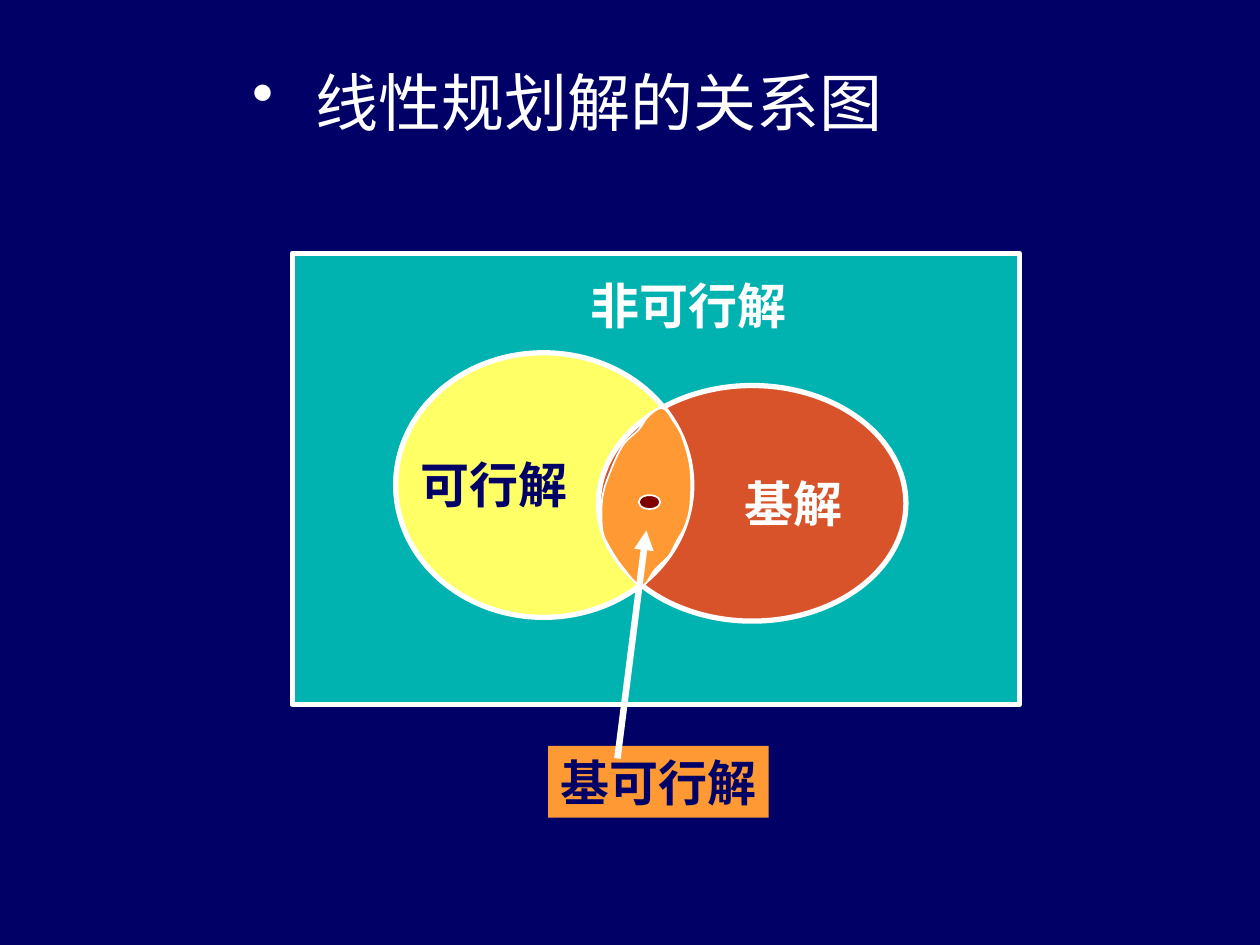
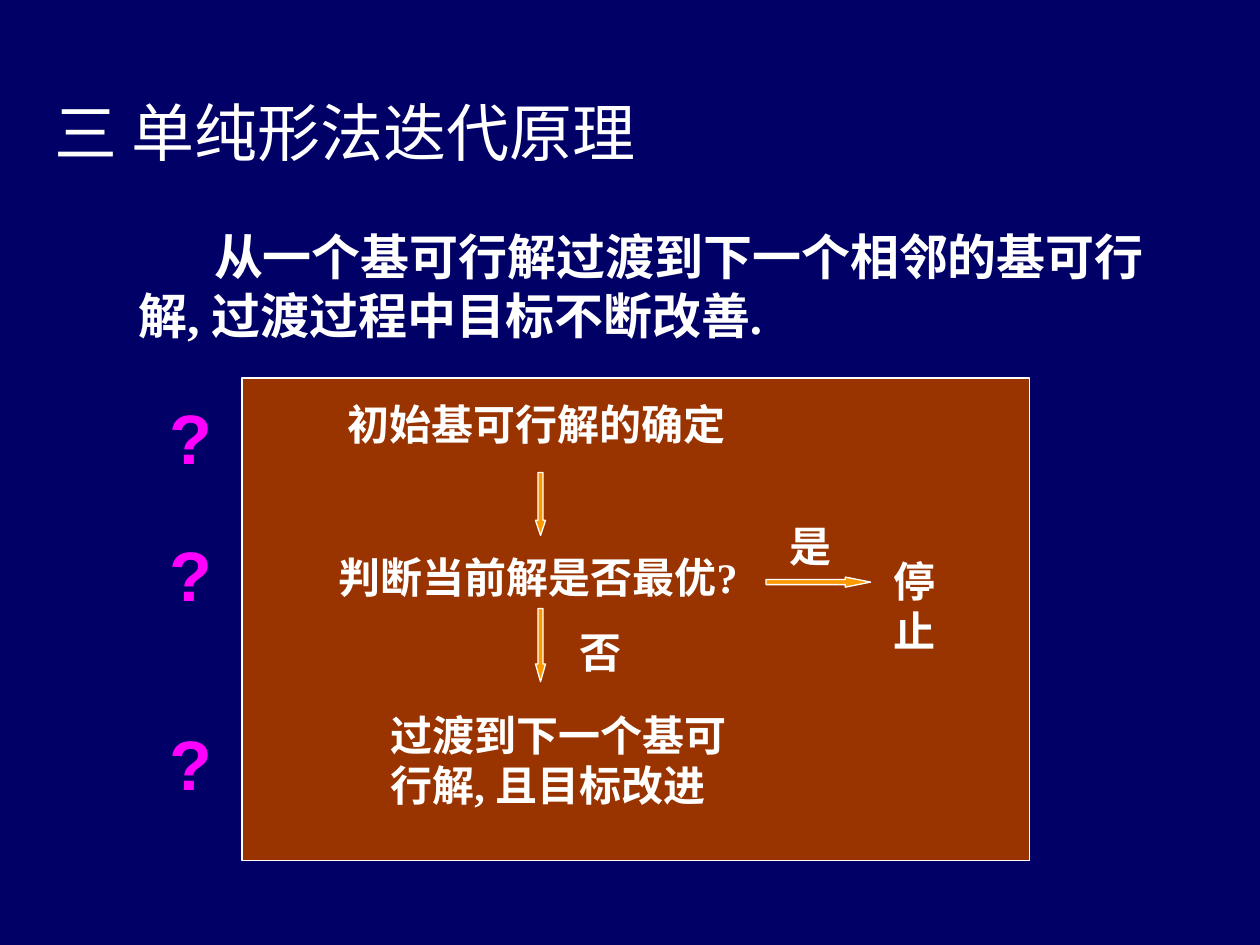
"""Build two slides on linear programming solutions and the simplex iteration."""
from lxml import etree
from pptx import Presentation
from pptx.dml.color import RGBColor
from pptx.enum import shapes as kinds, text as styles
from pptx.oxml.ns import qn
from pptx.util import Inches, Pt

NAVY = RGBColor(0x00, 0x00, 0x66)
WHITE = RGBColor(0xFF, 0xFF, 0xFF)
TEAL = RGBColor(0x00, 0xB2, 0xB0)
YELLOW = RGBColor(0xFF, 0xFF, 0x66)
ORANGE = RGBColor(0xFF, 0x99, 0x33)
AMBER = RGBColor(0xFF, 0x99, 0x00)
BRICK = RGBColor(0xD8, 0x53, 0x2A)
BROWN = RGBColor(0x99, 0x33, 0x00)
MAROON = RGBColor(0x80, 0x00, 0x00)
MAGENTA = RGBColor(0xFF, 0x00, 0xFF)

SERIF, SANS, CJK = "Times New Roman", "Arial", "Noto Sans CJK SC"
TITLE = dict(name=SERIF, size=Pt(36), bold=False)
REGION = dict(name=SANS, size=Pt(28), bold=True)
FEASIBLE = dict(name=CJK, size=Pt(28), bold=True)
LEAD = dict(name=SERIF, size=Pt(28), bold=True)
STEP = dict(name=SERIF, size=Pt(24), bold=True)
QUERY = dict(name=SANS, size=Pt(40), bold=True)

KIND = kinds.MSO_SHAPE
ANCHOR = styles.MSO_ANCHOR
ALIGN = styles.PP_ALIGN

RELATION_TITLE = ("线性规划解的关系图", (1.9, 0.45, 6.25, 0.77))
UNIVERSE = ("非可行解", (2.31, 2.02, 5.77, 3.58))
FEASIBLE_SET = ("可行解", (3.13, 2.79, 2.35, 2.1))
BASIC_SET = ("基解", (4.75, 3.06, 2.44, 1.87))
OVERLAP = ("基可行解", (4.35, 5.92, 1.75, 0.57))
UNIVERSE_EDGE = (2.32, 2.01, 5.77, 3.58)
FEASIBLE_EDGE = (3.14, 2.8, 2.35, 2.1)
OPTIMUM = (5.07, 3.93, 0.17, 0.11)
POINTER = ((4.9, 6.02), (5.13, 4.21))
LENS = [(5.09, 4.65), (4.94, 4.5), (4.83, 4.33), (4.78, 4.2), (4.78, 3.96),
        (4.83, 3.78), (4.94, 3.54), (5.07, 3.41), (5.15, 3.3), (5.26, 3.24),
        (5.35, 3.35), (5.42, 3.48), (5.48, 3.72), (5.48, 4), (5.44, 4.17),
        (5.37, 4.3), (5.31, 4.41), (5.2, 4.52)]

METHOD_TITLE = ("三 单纯形法迭代原理", (0.33, 0.42, 5.17, 1.25))
PRINCIPLE = ("从一个基可行解过渡到下一个相邻的基可行解, 过渡过程中目标不断改善.",
             (1, 1.75, 8.42, 1.04))
FLOW_PANEL = (1.92, 3, 6.25, 3.83)
FLOW_LABELS = [
    ("初始基可行解的确定", (2.66, 3.11, 3.2, 0.5)),
    ("判断当前解是否最优?", (2.59, 4.33, 3.44, 0.5)),
    ("是", (6.17, 4.08, 0.53, 0.5)),
    ("停止", (6.99, 4.36, 0.86, 0.5)),
    ("否", (4.5, 4.92, 0.53, 0.5)),
]
NEXT_STEP = ("过渡到下一个基可行解, 且目标改进", (3, 5.58, 3.17, 0.9))
FLOW_ARROWS = [
    (KIND.DOWN_ARROW, (4.25, 3.75, 0.08, 0.5), 1.5),
    (KIND.RIGHT_ARROW, (6.08, 4.58, 0.83, 0.08), 2.51),
    (KIND.DOWN_ARROW, (4.25, 4.83, 0.08, 0.58), 1.75),
]
QUERY_TOPS = [3.08, 4.17, 5.67]


def lengths(values):
    return [Inches(value) for value in values]


def write(holder, wording, look, color=WHITE, wrap=False, align=ALIGN.LEFT,
          anchor=ANCHOR.TOP, fit=styles.MSO_AUTO_SIZE.NONE):
    frame = holder.text_frame
    settings = dict(word_wrap=wrap, vertical_anchor=anchor, auto_size=fit)
    for key, value in settings.items():
        setattr(frame, key, value)
    line = frame.paragraphs[0]
    line.alignment = align
    run = line.add_run()
    run.text = wording
    for key, value in look.items():
        setattr(run.font, key, value)
    run.font.color.rgb = color
    etree.SubElement(run.font._element, qn("a:ea"), typeface=CJK)
    return line


def label(parent, wording, at, look, color=WHITE, wrap=False):
    return write(parent.add_textbox(*lengths(at)), wording, look, color, wrap,
                 fit=styles.MSO_AUTO_SIZE.SHAPE_TO_FIT_TEXT)


def paint(figure, fill, width):
    figure.shadow.inherit = False
    if fill is None:
        figure.fill.background()
    else:
        figure.fill.solid()
        figure.fill.fore_color.rgb = fill
    if width:
        figure.line.color.rgb = WHITE
        figure.line.width = Pt(width)
    else:
        figure.line.fill.background()
    return figure


def draw(parent, kind, at, fill=None, width=1):
    return paint(parent.add_shape(kind, *lengths(at)), fill, width)


def add_slide(deck, heading, anchor):
    slide = deck.slides.add_slide(deck.slide_layouts[5])
    wording, at = heading
    title = slide.shapes.title
    title.left, title.top, title.width, title.height = lengths(at)
    return slide.shapes, write(title, wording, TITLE, wrap=True, anchor=anchor)


def smooth_loop(knots, steps=6):
    """Return points on a closed Catmull-Rom curve through the knots."""
    points = []
    for i in range(len(knots)):
        quad = [knots[(i + k) % len(knots)] for k in (-1, 0, 1, 2)]
        for t in (step / steps for step in range(steps)):
            points.append(tuple(
                b + t / 2 * (c - a + t * (2 * a - 5 * b + 4 * c - d
                                          + t * (3 * b - a - 3 * c + d)))
                for a, b, c, d in zip(*quad)))
    return points


def add_relation(deck):
    parts, heading = add_slide(deck, RELATION_TITLE, ANCHOR.TOP)
    props = heading._p.get_or_add_pPr()
    props.set("marL", str(Inches(0.5)))
    props.set("indent", str(-Inches(0.5)))
    etree.SubElement(props, qn("a:buChar"), char="•")

    universe = draw(parts, KIND.RECTANGLE, UNIVERSE[1], TEAL)
    write(universe, UNIVERSE[0], REGION, align=ALIGN.CENTER)
    universe.text_frame.margin_left = Inches(0.64)
    universe.text_frame.margin_top = Inches(0.17)

    feasible = draw(parts, KIND.OVAL, FEASIBLE_SET[1], YELLOW)
    write(feasible, FEASIBLE_SET[0], FEASIBLE, NAVY, align=ALIGN.CENTER, anchor=ANCHOR.MIDDLE)
    feasible.text_frame.margin_right = Inches(0.87)

    overlap = draw(parts, KIND.RECTANGLE, OVERLAP[1], ORANGE, 0)
    write(overlap, OVERLAP[0], REGION, NAVY)
    draw(parts, KIND.RECTANGLE, UNIVERSE_EDGE, width=3)

    basic = draw(parts, KIND.OVAL, BASIC_SET[1], BRICK, 3)
    write(basic, BASIC_SET[0], REGION, align=ALIGN.CENTER, anchor=ANCHOR.MIDDLE)
    basic.text_frame.margin_left = Inches(0.76)
    draw(parts, KIND.OVAL, FEASIBLE_EDGE, width=3)

    first, *rest = [lengths(point) for point in smooth_loop(LENS)]
    outline = parts.build_freeform(*first)
    outline.add_line_segments(rest, close=True)
    paint(outline.convert_to_shape(), ORANGE, 1)
    draw(parts, KIND.OVAL, OPTIMUM, MAROON)

    start, end = POINTER
    pointer = parts.add_connector(kinds.MSO_CONNECTOR.STRAIGHT, *lengths(start + end))
    pointer.line.color.rgb = WHITE
    pointer.line.width = Pt(3.75)
    etree.SubElement(pointer.line._get_or_add_ln(), qn("a:tailEnd"), type="triangle")
    etree.SubElement(pointer._element.spPr, qn("a:effectLst"))


def add_method(deck):
    parts, _ = add_slide(deck, METHOD_TITLE, ANCHOR.MIDDLE)
    principle = label(parts, *PRINCIPLE, LEAD, wrap=True)
    principle._p.get_or_add_pPr().set("indent", str(Inches(0.6)))

    flow = parts.add_group_shape().shapes
    draw(flow, KIND.RECTANGLE, FLOW_PANEL, BROWN, 0.75)
    for wording, at in FLOW_LABELS:
        label(flow, wording, at, STEP)
    label(flow, *NEXT_STEP, STEP, wrap=True)
    for kind, at, head in FLOW_ARROWS:
        arrow = draw(flow, kind, at, AMBER, 0.75)
        arrow.adjustments[0] = 0.5
        arrow.adjustments[1] = head

    for top in QUERY_TOPS:
        label(parts, "?", (1.25, top, 0.54, 0.77), QUERY, MAGENTA)


def main():
    deck = Presentation()
    deck.slide_width, deck.slide_height = lengths((10, 7.5))
    backdrop = deck.slide_master.background.fill
    backdrop.solid()
    backdrop.fore_color.rgb = NAVY
    add_relation(deck)
    add_method(deck)
    deck.save("out.pptx")


if __name__ == "__main__":
    main()
